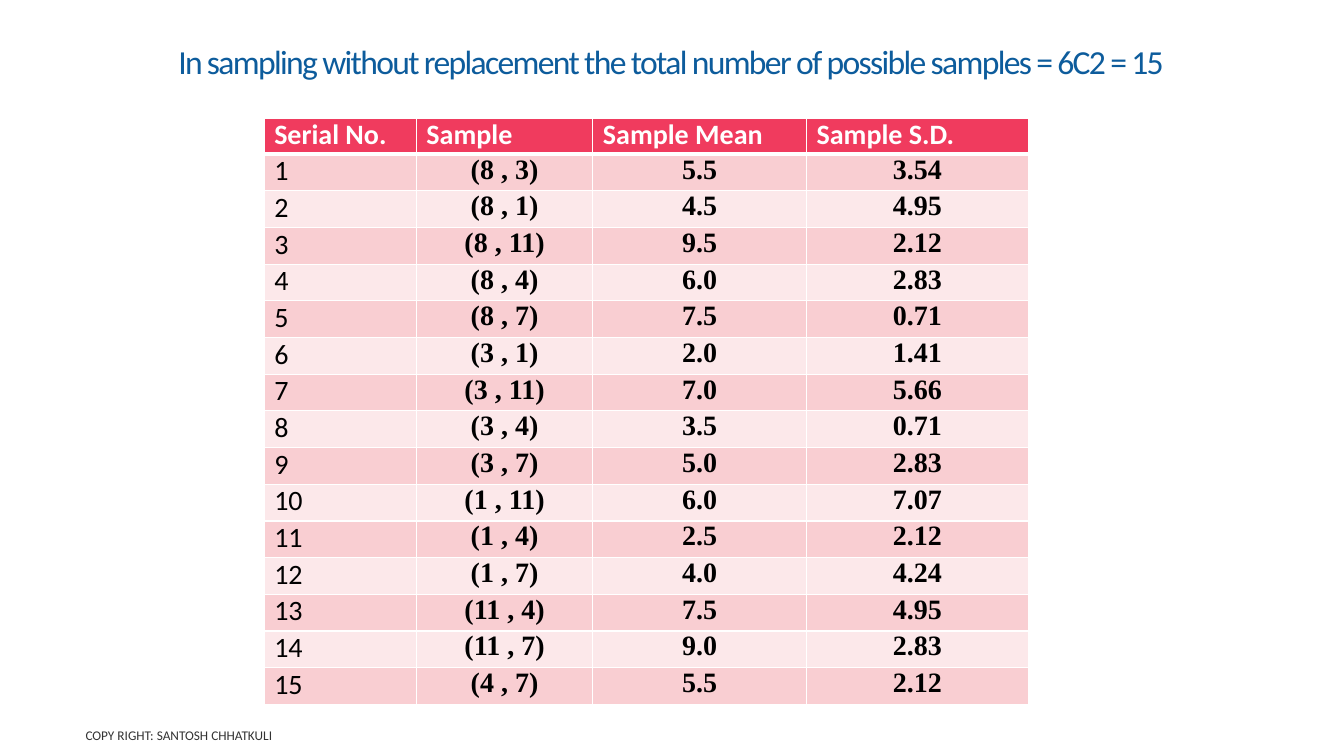
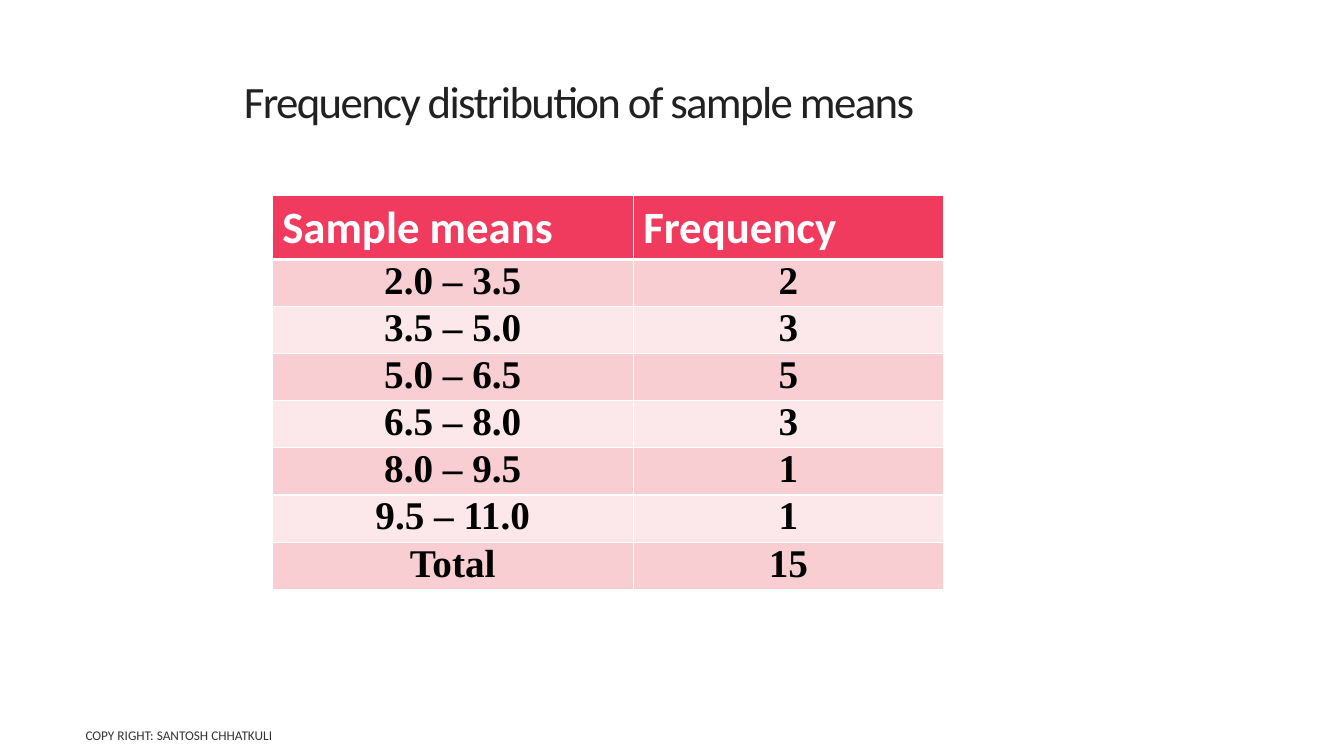
from dataclasses import dataclass
from itertools import combinations
from math import sqrt

from lxml.etree import SubElement
from pptx import Presentation
from pptx.dml.color import RGBColor
from pptx.enum.text import MSO_ANCHOR, PP_ALIGN
from pptx.oxml.ns import qn
from pptx.util import Inches, Pt


@dataclass(frozen=True)
class Theme:
    """Colours, fonts and type sizes shared by the slides."""
    ink: str = "212121"
    accent: str = "0D5C9C"
    black: str = "000000"
    white: str = "FFFFFF"
    footer: str = "333333"
    header: str = "F03B5E"
    bands: tuple = ("F9CED2", "FCE8EA")
    sans: str = "Calibri"
    serif: str = "Times New Roman"
    title_size: float = 32
    long_title_size: float = 24
    large_size: float = 28
    body_size: float = 20
    footer_size: float = 9.5
    title_tracking: int = -120
    title_leading: float = 0.85
    rule: float = 1
    header_rule: float = 3


THEME = Theme()
FOOTER_BOX = (0.75, 7.17, 5.5, 0.25)
POPULATION = (8, 3, 1, 11, 4, 7)
MEAN_FREQUENCIES = (
    ("2.0 – 3.5", "2"),
    ("3.5 – 5.0", "3"),
    ("5.0 – 6.5", "5"),
    ("6.5 – 8.0", "3"),
    ("8.0 – 9.5", "1"),
    ("9.5 – 11.0", "1"),
    ("Total", "15"),
)


def write(frame, text, size, color, font=THEME.sans, bold=False,
          align=PP_ALIGN.LEFT, leading=None, tracking=None):
    """Fill a text frame with one formatted paragraph."""
    paragraph = frame.paragraphs[0]
    paragraph.alignment = align
    if leading:
        paragraph.line_spacing = leading
    run = paragraph.add_run()
    run.text = text
    run.font.size = Pt(size)
    run.font.name = font
    run.font.bold = bold
    run.font.color.rgb = RGBColor.from_string(color)
    if tracking:
        run.font._element.set("spc", str(tracking))


def add_label(slide, box, text, **style):
    """Place vertically centred text in a box."""
    frame = slide.shapes.add_textbox(*map(Inches, box)).text_frame
    frame.word_wrap = True
    frame.vertical_anchor = MSO_ANCHOR.MIDDLE
    write(frame, text, **style)


def add_title(slide, box, text, size=THEME.title_size, color=THEME.ink):
    """Place a slide title in the shared tight style."""
    add_label(slide, box, text, size=size, color=color,
              leading=THEME.title_leading, tracking=THEME.title_tracking)


def add_footer(slide):
    """Place the copyright line."""
    add_label(slide, FOOTER_BOX, "COPY RIGHT: SANTOSH CHHATKULI",
              size=THEME.footer_size, color=THEME.footer)


def set_borders(cell, top, bottom):
    """Draw white cell borders with the given top and bottom widths."""
    properties = cell._tc.get_or_add_tcPr()
    sides = {"a:lnL": THEME.rule, "a:lnR": THEME.rule, "a:lnT": top, "a:lnB": bottom}
    for tag, width in sides.items():
        line = SubElement(properties, qn(tag), w=str(Pt(width)))
        fill = SubElement(line, qn("a:solidFill"))
        SubElement(fill, qn("a:srgbClr"), val=THEME.white)


def fill_cell(cell, text, fill, inset, top=THEME.rule, bottom=THEME.rule, **style):
    """Set one cell's borders, fill, insets and text."""
    set_borders(cell, top, bottom)
    cell.fill.solid()
    cell.fill.fore_color.rgb = RGBColor.from_string(fill)
    cell.margin_left = cell.margin_right = Inches(inset[0])
    cell.margin_top = cell.margin_bottom = Inches(inset[1])
    write(cell.text_frame, text, **style)


def add_banded_table(slide, box, widths, headings, records, header_height,
                     header_size, body_size, header_inset=0, serial_column=False):
    """Build a banded table with equal body rows inside a box."""
    table = slide.shapes.add_table(len(records) + 1, len(widths),
                                   *map(Inches, box)).table
    for column, width in zip(table.columns, widths):
        column.width = Inches(width)
    body_height = (box[3] - header_height) / len(records)
    for index, row in enumerate(table.rows):
        row.height = Inches(body_height if index else header_height)

    for column, heading in enumerate(headings):
        fill_cell(table.cell(0, column), heading, THEME.header, (0.1, header_inset),
                  bottom=THEME.header_rule, size=header_size,
                  color=THEME.white, bold=True)

    serial_style = dict(inset=(0.1, 0), font=THEME.sans)
    value_style = dict(inset=(0.07, 0), font=THEME.serif, bold=True,
                       align=PP_ALIGN.CENTER)
    for index, record in enumerate(records):
        top = THEME.rule if index else THEME.header_rule
        for column, text in enumerate(record):
            style = serial_style if serial_column and column == 0 else value_style
            fill_cell(table.cell(index + 1, column), text, THEME.bands[index % 2],
                      top=top, size=body_size, color=THEME.black, **style)


def sample_records():
    """List every pair drawn without replacement with its mean and S.D."""
    return [
        (str(serial), f"({a} , {b})", f"{(a + b) / 2:.1f}", f"{abs(a - b) / sqrt(2):.2f}")
        for serial, (a, b) in enumerate(combinations(POPULATION, 2), 1)
    ]


def build_samples_slide(slide):
    """Build the slide that lists all possible samples."""
    add_title(slide, (1.67, 0.3, 10.26, 0.68),
              "In sampling without replacement the total number of possible samples = 6C2 = 15",
              size=THEME.long_title_size, color=THEME.accent)
    add_banded_table(slide, (2.62, 1.17, 7.58, 5.82), (1.51, 1.75, 2.12, 2.2),
                     ("Serial No.", "Sample", "Sample Mean", "Sample S.D."),
                     sample_records(), header_height=0.36,
                     header_size=THEME.body_size, body_size=THEME.body_size,
                     serial_column=True)
    add_footer(slide)


def build_frequency_slide(slide):
    """Build the slide with the distribution of sample means."""
    add_title(slide, (2.32, 0.61, 8.44, 0.87), "Frequency distribution of sample means")
    add_banded_table(slide, (2.7, 1.94, 6.66, 3.9), (3.58, 3.08),
                     ("Sample means", "Frequency"), MEAN_FREQUENCIES,
                     header_height=0.63, header_size=THEME.title_size,
                     body_size=THEME.large_size, header_inset=0.05)
    add_footer(slide)


def main():
    """Build and save the presentation."""
    deck = Presentation()
    deck.slide_width = Inches(13.33)
    deck.slide_height = Inches(7.5)
    blank = deck.slide_layouts[6]
    for build in (build_samples_slide, build_frequency_slide):
        build(deck.slides.add_slide(blank))
    deck.save("out.pptx")


if __name__ == "__main__":
    main()
